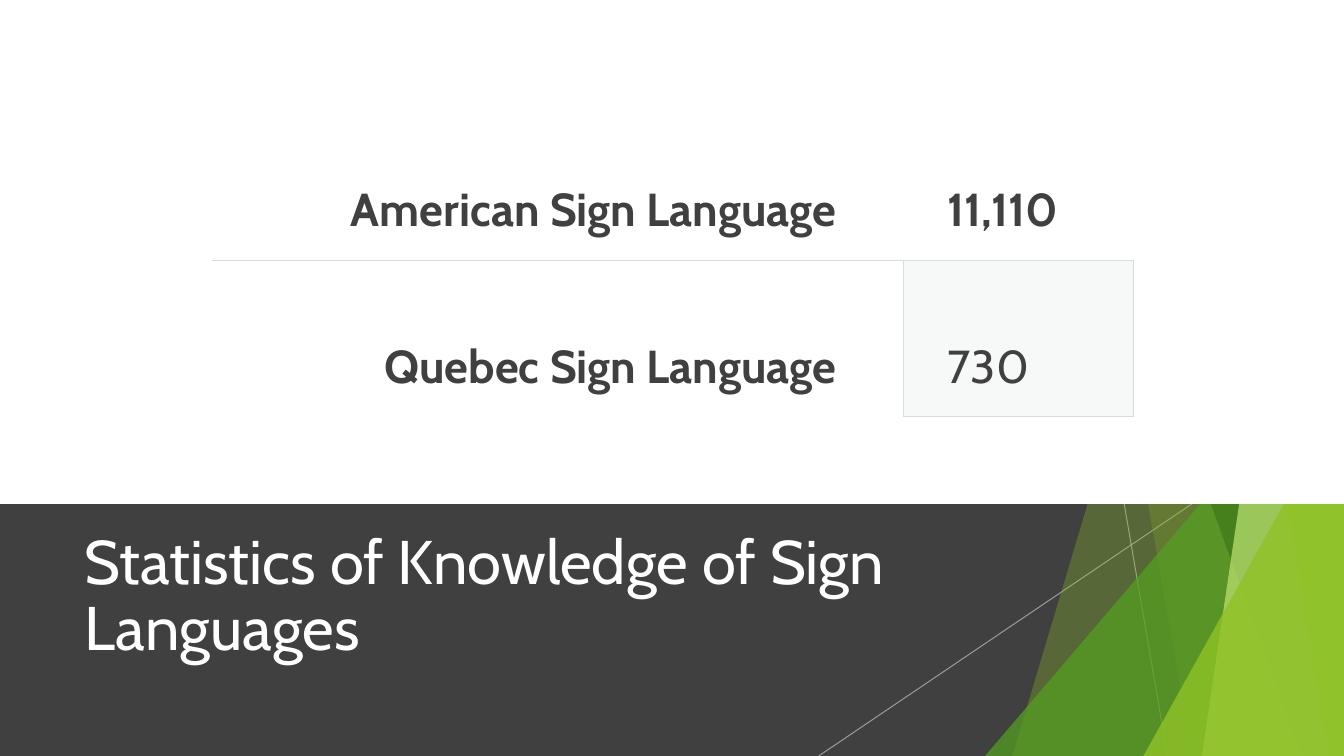
from dataclasses import dataclass

from lxml import etree
from pptx import Presentation
from pptx import util as u
from pptx.dml.color import RGBColor
from pptx.enum import shapes, text
from pptx.oxml import ns

WIDTH, HEIGHT, BAND_TOP = 13.33, 7.5, 5
FONT = "Cabin"
DARK, WHITE, LEAF = "404040", "FFFFFF", "90C226"
RULE = "D8DCDC"
SIDES = ("L", "R", "T", "B")


@dataclass
class Ray:
    top_x: float
    bottom_x: float


@dataclass
class Facet:
    top_x: float
    bottom_x: float
    color: str
    alpha: int


@dataclass
class Wedge:
    left: float
    top: float
    color: str
    alpha: int


@dataclass
class Entry:
    words: str
    align: text.PP_ALIGN
    right_inset: float
    bold: bool
    borders: str
    fill: str = ""


RAYS = [Ray(11.15, 11.58), Ray(11.82, 8.12)]
FACETS = [
    Facet(12.28, 10.04, LEAF, 30),
    Facet(10.5, 11.83, LEAF, 20),
    Wedge(9.77, 3.33, "54A021", 72),
    Facet(10.21, 12.91, "3F7819", 70),
    Facet(13.03, 11.92, "C0E474", 70),
    Facet(11.96, 13.18, LEAF, 65),
    Wedge(11.34, 3.93, LEAF, 80),
]
RIGHT, JUSTIFY = text.PP_ALIGN.RIGHT, text.PP_ALIGN.JUSTIFY
ROWS = [
    [Entry("American Sign Language", RIGHT, 0.66, True, "B"),
     Entry("11,110", JUSTIFY, 0.17, True, "B")],
    [Entry("Quebec Sign Language", RIGHT, 0.66, True, "TR"),
     Entry("730", JUSTIFY, 0.17, False, "LRTB", "D8DEDC")],
]


def rgb(color: str) -> RGBColor:
    return RGBColor.from_string(color)


def apply(target, values: dict) -> None:
    for name, value in values.items():
        setattr(target, name, value)


def set_alpha(element, percent: int) -> None:
    color = element.find(".//" + ns.qn("a:srgbClr"))
    etree.SubElement(color, ns.qn("a:alpha"), val=str(percent * 1000))


def paint(shape, color: str, alpha: int = 100) -> None:
    shape.shadow.inherit = False
    shape.fill.solid()
    shape.fill.fore_color.rgb = rgb(color)
    shape.line.fill.background()
    if alpha < 100:
        set_alpha(shape._element.spPr, alpha)


def add_panel(page, top: float, height: float, color: str) -> None:
    panel = page.shapes.add_shape(shapes.MSO_SHAPE.RECTANGLE, 0, u.Inches(top),
                                  u.Inches(WIDTH), u.Inches(height))
    paint(panel, color)


def add_ray(page, ray: Ray) -> None:
    line = page.shapes.add_connector(
        shapes.MSO_CONNECTOR.STRAIGHT, u.Inches(ray.top_x), u.Inches(BAND_TOP),
        u.Inches(ray.bottom_x), u.Inches(HEIGHT))
    line.line.width = u.Pt(0.75)
    line.line.color.rgb = rgb("BFBFBF")
    properties = line._element.spPr
    set_alpha(properties, 70)
    etree.SubElement(properties, ns.qn("a:effectLst"))


def add_facet(page, facet: Facet) -> None:
    outline = page.shapes.build_freeform(u.Inches(facet.top_x), 0)
    corners = [(WIDTH, 0), (WIDTH, HEIGHT), (facet.bottom_x, HEIGHT)]
    outline.add_line_segments([(u.Inches(x), u.Inches(y)) for x, y in corners])
    paint(outline.convert_to_shape(), facet.color, facet.alpha)


def add_wedge(page, wedge: Wedge) -> None:
    triangle = page.shapes.add_shape(
        shapes.MSO_SHAPE.ISOSCELES_TRIANGLE, u.Inches(wedge.left), u.Inches(wedge.top),
        u.Inches(WIDTH - wedge.left), u.Inches(HEIGHT - wedge.top))
    triangle.adjustments[0] = 1.0
    paint(triangle, wedge.color, wedge.alpha)


def write(para, words: str, para_format: dict, font_format: dict, color: str) -> None:
    apply(para, para_format)
    span = para.add_run()
    span.text = words
    apply(span.font, {"name": FONT, **font_format})
    span.font.color.rgb = rgb(color)


def set_borders(cell, shown: str) -> None:
    properties = cell._tc.get_or_add_tcPr()
    for position, side in enumerate(SIDES):
        border = etree.Element(ns.qn(f"a:ln{side}"), w=str(u.Pt(0.75)))
        if side in shown:
            fill = etree.SubElement(border, ns.qn("a:solidFill"))
            etree.SubElement(fill, ns.qn("a:srgbClr"), val=RULE)
        else:
            etree.SubElement(border, ns.qn("a:noFill"))
        properties.insert(position, border)


def fill_cell(cell, entry: Entry) -> None:
    apply(cell, {"margin_left": u.Inches(0.44), "margin_right": u.Inches(entry.right_inset),
                 "margin_top": u.Inches(0.22), "margin_bottom": u.Inches(0.22)})
    write(cell.text_frame.paragraphs[0], entry.words,
          {"alignment": entry.align, "line_spacing": 2.0},
          {"size": u.Pt(33), "bold": entry.bold}, DARK)
    if entry.fill:
        cell.fill.solid()
        cell.fill.fore_color.rgb = rgb(entry.fill)
        set_alpha(cell._tc.tcPr, 20)
    else:
        cell.fill.background()
    set_borders(cell, entry.borders)


def add_statistics(page) -> None:
    table = page.shapes.add_table(2, 2, u.Inches(2.1), u.Inches(1.03),
                                  u.Inches(9.14), u.Inches(2.94)).table
    apply(table, {"first_row": False, "horz_banding": False})
    for column, width in zip(table.columns, (6.86, 2.28)):
        column.width = u.Inches(width)
    for row, entries in zip(table.rows, ROWS):
        for cell, entry in zip(row.cells, entries):
            fill_cell(cell, entry)


def place_title(page) -> None:
    title = page.shapes.title
    apply(title, {"left": u.Inches(0.74), "top": u.Inches(5.21),
                  "width": u.Inches(9.4), "height": u.Inches(1.44)})
    frame = title.text_frame
    apply(frame, {"word_wrap": True, "auto_size": text.MSO_AUTO_SIZE.NONE,
                  "vertical_anchor": text.MSO_ANCHOR.MIDDLE})
    write(frame.paragraphs[0], "Statistics of Knowledge of Sign Languages",
          {"alignment": text.PP_ALIGN.LEFT, "line_spacing": 0.9},
          {"size": u.Pt(44)}, WHITE)
    page.shapes._spTree.append(title._element)


def main() -> None:
    deck = Presentation()
    apply(deck, {"slide_width": u.Inches(WIDTH), "slide_height": u.Inches(HEIGHT)})
    page = deck.slides.add_slide(deck.slide_layouts[5])
    add_panel(page, BAND_TOP, HEIGHT - BAND_TOP, DARK)
    for ray in RAYS:
        add_ray(page, ray)
    for piece in FACETS:
        if isinstance(piece, Wedge):
            add_wedge(page, piece)
        else:
            add_facet(page, piece)
    place_title(page)
    add_panel(page, 0, BAND_TOP, WHITE)
    add_statistics(page)
    deck.save("out.pptx")


if __name__ == "__main__":
    main()
